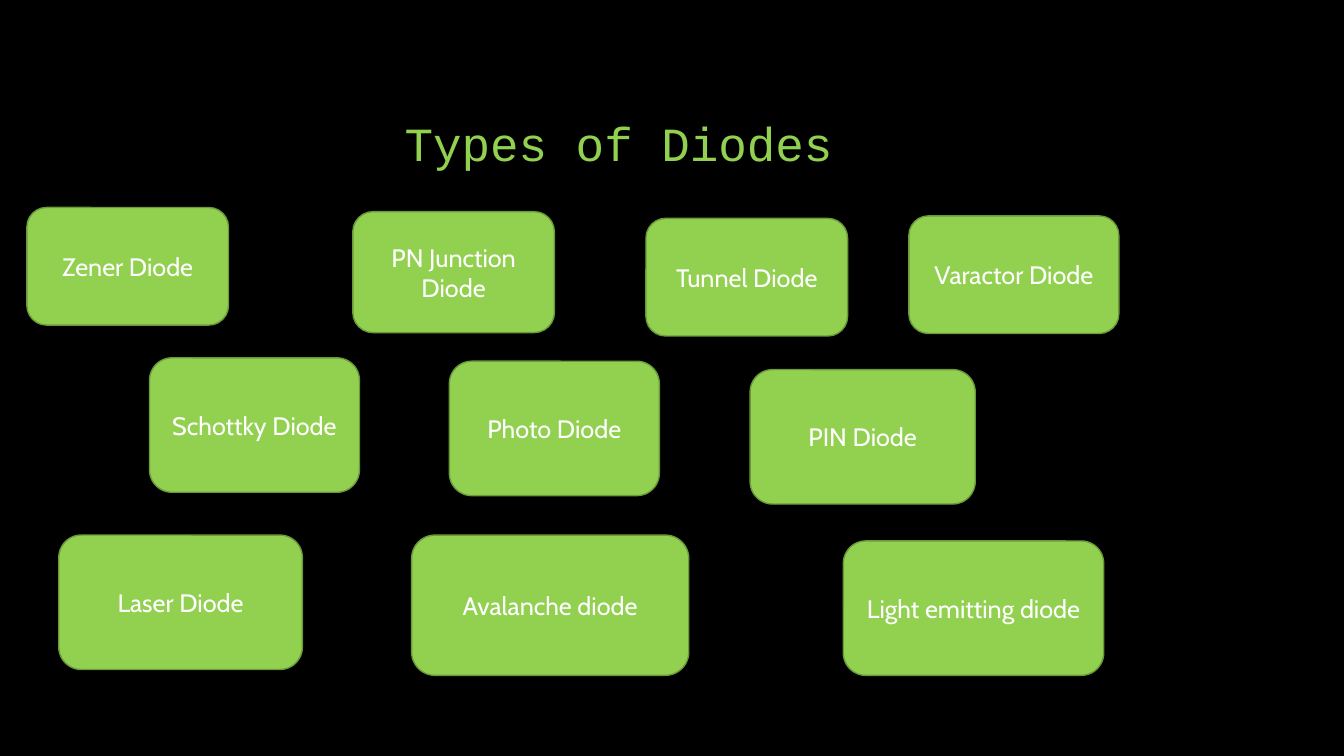
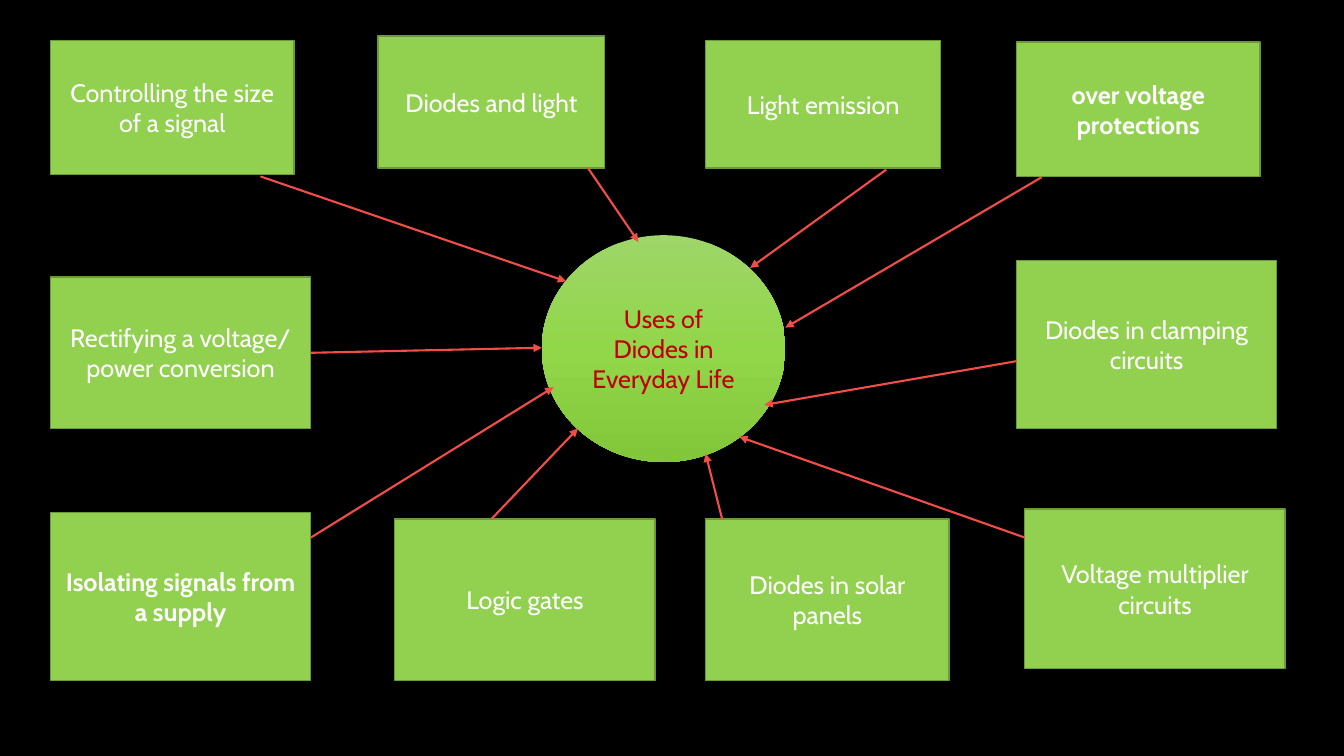
from copy import deepcopy
from dataclasses import dataclass

from lxml.etree import SubElement
from pptx import Presentation
from pptx.dml.color import RGBColor
from pptx.enum.shapes import MSO_CONNECTOR, MSO_SHAPE
from pptx.enum.text import MSO_ANCHOR, PP_ALIGN
from pptx.oxml.ns import qn
from pptx.util import Inches, Pt


@dataclass(frozen=True)
class Theme:
    back: RGBColor = RGBColor.from_string("000000")
    green: RGBColor = RGBColor.from_string("92D050")
    edge: RGBColor = RGBColor.from_string("6C9A3B")
    white: RGBColor = RGBColor.from_string("FFFFFF")
    red: RGBColor = RGBColor.from_string("C00000")
    arrow: RGBColor = RGBColor.from_string("F34D47")
    shades: tuple = ("9ED669", "92D64A", "82C63A")
    body: str = "Cabin"
    head: str = "Courier New"
    text: int = 18
    title: int = 34


theme = Theme()
COLS, ROWS = 160, 90
WIDE, HIGH = Inches(13.33), Inches(7.5)


def grid(*cells):
    """Turn alternating column and row counts into slide lengths."""
    sides = WIDE / COLS, HIGH / ROWS
    return [round(n * sides[i % 2]) for i, n in enumerate(cells)]


def add_box(slide, kind, text, place, color=theme.white, bold=None):
    box = slide.shapes.add_shape(kind, *grid(*place))
    box.shadow.inherit = False
    box.fill.solid()
    box.fill.fore_color.rgb = theme.green
    box.line.color.rgb = theme.edge
    box.line.width = Pt(1)
    frame = box.text_frame
    frame.text = text
    frame.word_wrap = True
    frame.vertical_anchor = MSO_ANCHOR.MIDDLE
    para = frame.paragraphs[0]
    para.alignment = PP_ALIGN.CENTER
    font = para.runs[0].font
    font.name, font.size = theme.body, Pt(theme.text)
    font.color.rgb, font.bold = color, bold
    return box


prs = Presentation()
prs.slide_width, prs.slide_height = WIDE, HIGH
back = prs.slide_master.background.fill
back.solid()
back.fore_color.rgb = theme.back
blank = prs.slide_layouts[6]

# Types of diodes
types = prs.slides.add_slide(blank)
frame = types.shapes.add_textbox(*grid(47, 6, 93, 15)).text_frame
frame.text = "Types of Diodes"
frame.word_wrap = True
frame.vertical_anchor = MSO_ANCHOR.BOTTOM
para = frame.paragraphs[0]
para.line_spacing = 0.9
font = para.runs[0].font
font.name, font.size = theme.head, Pt(theme.title)
font.color.rgb = theme.green

kinds = [
    ("Zener Diode", (3.2, 24.7, 24, 14)),
    ("PN Junction Diode", (42, 25.2, 24, 14.4)),
    ("Tunnel Diode", (76.9, 26, 24, 14)),
    ("Varactor Diode", (108.2, 25.7, 25, 14)),
    ("Schottky Diode", (17.8, 42.6, 25, 16)),
    ("Photo Diode", (53.5, 43, 25, 16)),
    ("PIN Diode", (89.3, 44, 26.8, 16)),
    ("Laser Diode", (7, 63.7, 29, 16)),
    ("Avalanche diode", (49, 63.7, 33, 16.7)),
    ("Light emitting diode", (100.4, 64.4, 31, 16)),
]
for text, place in kinds:
    add_box(types, MSO_SHAPE.ROUNDED_RECTANGLE, text, place)

# Uses of diodes
uses = prs.slides.add_slide(blank)
hub = add_box(uses, MSO_SHAPE.OVAL, "Uses of Diodes in Everyday Life",
              (64.5, 28, 29, 27), theme.red)
hub.line.fill.background()
hub.fill.gradient()
hub.fill.gradient_angle = 270
first = hub.fill.gradient_stops[0]
stops = hub.element.spPr.find(qn("a:gradFill")).find(qn("a:gsLst"))
stops.insert(1, deepcopy(stops[0]))
for i, (stop, shade) in enumerate(zip(hub.fill.gradient_stops, theme.shades)):
    stop.position = i / 2
    stop.color.rgb = RGBColor.from_string(shade)

# Each use: text, place, bold, arrow start, arrow end
facts = [
    ("Controlling the size of a signal", (6, 4.8, 29, 16), None,
     (31, 21), (67.4, 33.5)),
    ("Diodes and light", (45, 4.3, 27, 15.7), None, (70, 20), (76, 28.8)),
    ("Light emission", (84, 4.8, 28, 15.2), None, (105.5, 20.2), (89.3, 31.9)),
    ("over voltage protections", (121, 5, 29, 16), True,
     (124, 21.1), (93.5, 39)),
    ("Rectifying a voltage/ power conversion", (6, 33, 31, 18), None,
     (37, 42), (64.5, 41.4)),
    ("Diodes in clamping circuits", (121, 31, 31, 20), None,
     (121, 43), (91, 48.2)),
    ("Isolating signals from a supply", (6, 61, 31, 20), True,
     (37, 64), (65.9, 46.1)),
    ("Logic gates", (47, 61.8, 31, 19.2), None, (58.5, 61.8), (68.8, 51)),
    ("Diodes in solar panels", (84, 61.8, 29, 19.2), None,
     (86, 61.9), (84, 54)),
    ("Voltage multiplier circuits", (122, 60.6, 31, 19), None,
     (122, 64), (88, 52)),
]
for text, place, bold, start, end in facts:
    box = add_box(uses, MSO_SHAPE.RECTANGLE, text, place, bold=bold)
    line = uses.shapes.add_connector(MSO_CONNECTOR.STRAIGHT,
                                     *grid(*start, *end))
    left, top, width, height = place
    if start == (left + width, top + height / 2):
        line.begin_connect(box, 3)
    line.line.color.rgb = theme.arrow
    line.line.width = Pt(1.5)
    SubElement(line.line._get_or_add_ln(), qn("a:tailEnd"), type="triangle")
    SubElement(line.element.spPr, qn("a:effectLst"))

prs.save("out.pptx")
